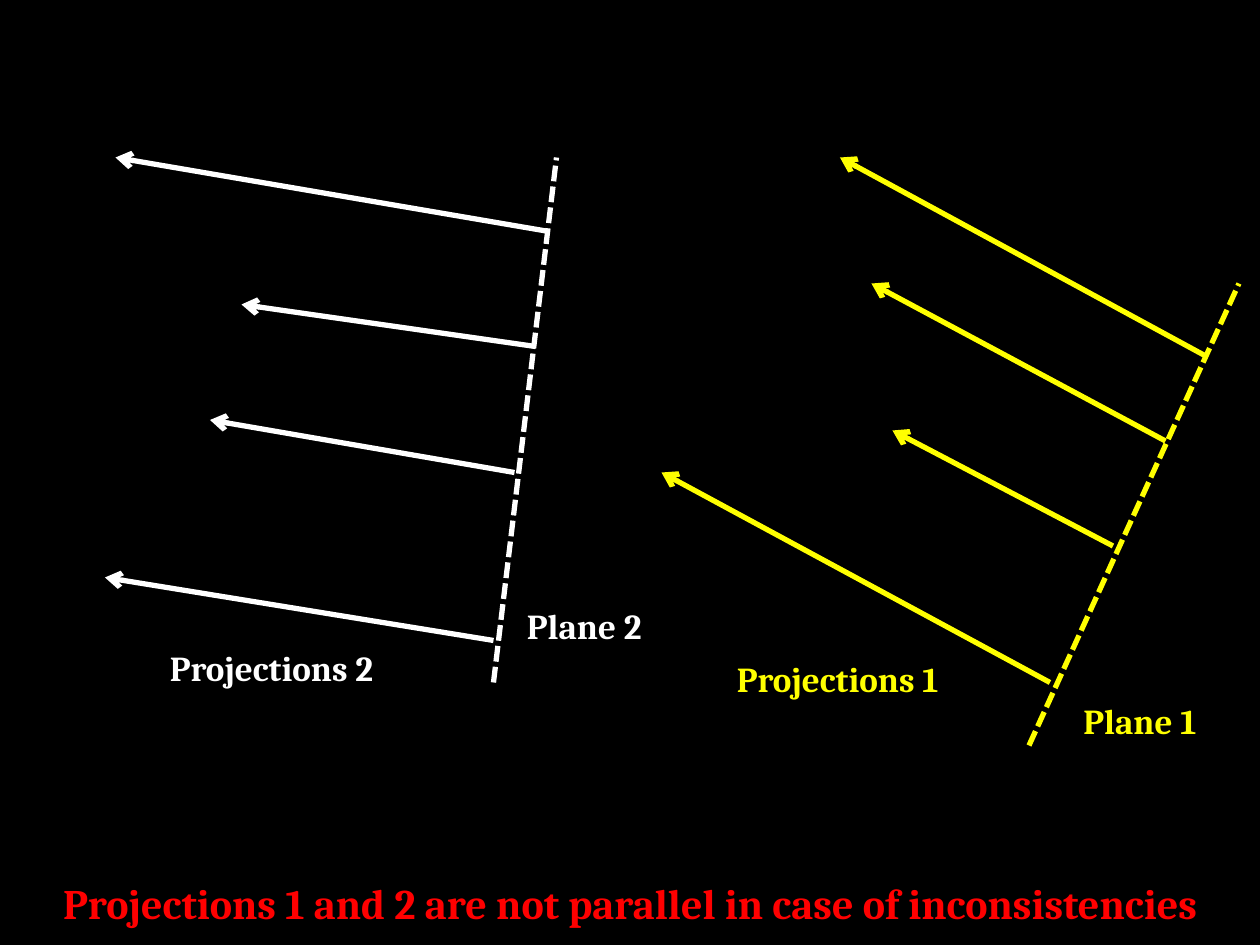
from typing import Any, NamedTuple

from lxml import etree
from pptx import Presentation
from pptx import util as u
from pptx.dml.color import RGBColor
from pptx.enum import dml, shapes, text
from pptx.oxml.ns import qn

EMU_PER_PX = 7620
BLANK_LAYOUT = 6
BLACK = RGBColor(0x00, 0x00, 0x00)
WHITE = RGBColor(0xFF, 0xFF, 0xFF)
YELLOW = RGBColor(0xFF, 0xFF, 0x00)
RED = RGBColor(0xFF, 0x00, 0x00)
BOX_FORMAT = {"word_wrap": True, "auto_size": text.MSO_AUTO_SIZE.SHAPE_TO_FIT_TEXT}


class Segment(NamedTuple):
    start_x: int
    start_y: int
    end_x: int
    end_y: int


class Label(NamedTuple):
    words: str
    left: int
    top: int
    width: int
    height: int = 53
    alignment: text.PP_ALIGN = text.PP_ALIGN.LEFT
    points: int = 20


class Projection(NamedTuple):
    color: RGBColor
    plane: Segment
    arrows: list[Segment]
    labels: list[Label]


PROJECTIONS = [
    Projection(
        YELLOW,
        Segment(980, 710, 1180, 270),
        [
            Segment(1150, 340, 800, 150),
            Segment(1110, 420, 830, 270),
            Segment(1060, 520, 850, 410),
            Segment(1000, 650, 630, 450),
        ],
        [
            Label("Plane 1", 1020, 660, 270),
            Label("Projections 1", 690, 620, 221, alignment=text.PP_ALIGN.JUSTIFY),
        ],
    ),
    Projection(
        WHITE,
        Segment(470, 650, 530, 150),
        [
            Segment(520, 220, 110, 150),
            Segment(510, 330, 230, 290),
            Segment(490, 450, 200, 400),
            Segment(470, 610, 100, 550),
        ],
        [
            Label("Projections 2", 150, 610, 221, alignment=text.PP_ALIGN.JUSTIFY),
            Label("Plane 2", 490, 570, 270),
        ],
    ),
]
CAPTION = Label(
    "Projections 1 and 2 are not parallel in case of inconsistencies",
    0, 830, 1200, 60, text.PP_ALIGN.CENTER, 24,
)


def px(length: int) -> u.Emu:
    return u.Emu(length * EMU_PER_PX)


def apply_format(target: Any, values: dict[str, Any]) -> None:
    for name, value in values.items():
        setattr(target, name, value)


def draw_segment(slide: Any, segment: Segment, color: RGBColor, is_arrow: bool) -> None:
    connector = slide.shapes.add_connector(
        shapes.MSO_CONNECTOR.STRAIGHT, *map(px, segment)
    )
    connector.line.width = u.Pt(3)
    connector.line.color.rgb = color
    if is_arrow:
        outline = connector.line.fill._xPr
        etree.SubElement(outline, qn("a:tailEnd"), type="arrow")
    else:
        connector.line.dash_style = dml.MSO_LINE.SQUARE_DOT
    etree.SubElement(connector._element.spPr, qn("a:effectLst"))


def draw_label(slide: Any, label: Label, color: RGBColor) -> None:
    box = slide.shapes.add_textbox(
        px(label.left), px(label.top), px(label.width), px(label.height)
    )
    apply_format(box.text_frame, BOX_FORMAT)
    paragraph = box.text_frame.paragraphs[0]
    paragraph.alignment = label.alignment
    run = paragraph.add_run()
    run.text = label.words
    apply_format(
        run.font, {"name": "Cambria", "size": u.Pt(label.points), "bold": True}
    )
    run.font.color.rgb = color


def draw_projection(slide: Any, projection: Projection) -> None:
    draw_segment(slide, projection.plane, projection.color, is_arrow=False)
    for arrow in projection.arrows:
        draw_segment(slide, arrow, projection.color, is_arrow=True)
    for label in projection.labels:
        draw_label(slide, label, projection.color)


def main() -> None:
    presentation = Presentation()
    apply_format(presentation, {"slide_width": px(1200), "slide_height": px(900)})
    slide = presentation.slides.add_slide(presentation.slide_layouts[BLANK_LAYOUT])
    slide.background.fill.solid()
    slide.background.fill.fore_color.rgb = BLACK
    for projection in PROJECTIONS:
        draw_projection(slide, projection)
    draw_label(slide, CAPTION, RED)
    presentation.save("out.pptx")


if __name__ == "__main__":
    main()
